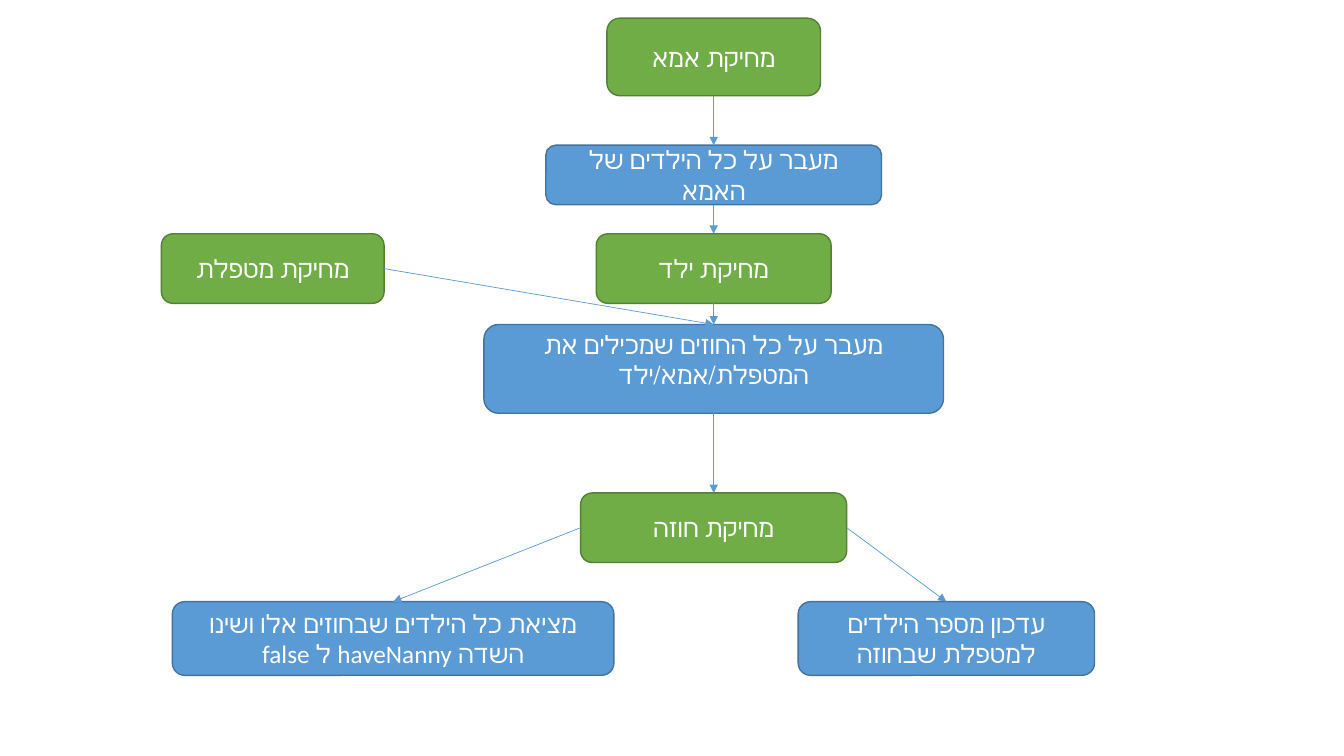
import pptx
import pptx.util
import pptx.dml.color
import pptx.enum.shapes
import pptx.enum.text
import pptx.oxml.ns
import lxml.etree

Pt = pptx.util.Pt
RGB = pptx.dml.color.RGBColor.from_string
KIND = pptx.enum.shapes.MSO_SHAPE.ROUNDED_RECTANGLE
LINE = pptx.enum.shapes.MSO_CONNECTOR.STRAIGHT
ANCHOR = pptx.enum.text.MSO_ANCHOR
hues = {"green": "70AD47", "moss": "538035", "blue": "5B9BD5",
        "navy": "43739E", "white": "FFFFFF"}
edges = {"green": "moss", "blue": "navy"}
TOP, LEFT, BASE, RIGHT = range(4)

deck = pptx.Presentation()
deck.slide_width, deck.slide_height = Pt(960), Pt(540)
slide = deck.slides.add_slide(deck.slide_layouts[6])

MID = 509.8
steps = [
    ("nanny", "green", 194.8, 167, 159.1, 49.7, "מחיקת מטפלת"),
    ("deals", "blue", MID, 231.8, 328.3, 63.4,
     "מעבר על כל החוזים שמכילים את המטפלת/אמא/ילד"),
    ("field", "blue", 280.8, 429.8, 315.4, 52.6,
     "מציאת כל הילדים שבחוזים אלו ושינו השדה haveNanny ל false"),
    ("deal", "green", MID, 352.1, 190.1, 49.7, "מחיקת חוזה"),
    ("count", "blue", 676, 429.8, 211.7, 52.6,
     "עדכון מספר הילדים למטפלת שבחוזה"),
    ("mother", "green", MID, 13, 152.6, 55.4, "מחיקת אמא"),
    ("child", "green", MID, 167, 167.8, 49.7, "מחיקת ילד"),
    ("kids", "blue", MID, 103.7, 239.8, 42.5, "מעבר על כל הילדים של האמא"),
]
font = {"size": Pt(18), "name": "Calibri"}
boxes = {}
for name, hue, mid, top, wide, high, text in steps:
    box = slide.shapes.add_shape(
        KIND, Pt(mid - wide / 2), Pt(top), Pt(wide), Pt(high))
    box.shadow.inherit = False
    box.fill.solid()
    box.fill.fore_color.rgb = RGB(hues[hue])
    box.line.color.rgb = RGB(hues[edges[hue]])
    box.line.width = Pt(1)
    frame = box.text_frame
    frame.word_wrap = True
    frame.vertical_anchor = ANCHOR.MIDDLE
    para = frame.paragraphs[0]
    para.alignment = pptx.enum.text.PP_ALIGN.CENTER
    para._p.get_or_add_pPr().set("rtl", "1")
    run = para.add_run()
    run.text = text
    for key, value in font.items():
        setattr(run.font, key, value)
    run.font.color.rgb = RGB(hues["white"])
    boxes[name] = box

frame = boxes["deals"].text_frame
frame.vertical_anchor = ANCHOR.TOP
frame.margin_top = 0

links = [
    ("deals", BASE, "deal", TOP),
    ("mother", BASE, "kids", TOP),
    ("kids", BASE, "child", TOP),
    ("child", BASE, "deals", TOP),
    ("deal", RIGHT, "count", TOP),
    ("deal", LEFT, "field", TOP),
    ("nanny", RIGHT, "deals", TOP),
]
qn = pptx.oxml.ns.qn
for start, out, end, into in links:
    link = slide.shapes.add_connector(LINE, 0, 0, 0, 0)
    link.begin_connect(boxes[start], out)
    link.end_connect(boxes[end], into)
    link.line.color.rgb = RGB(hues["blue"])
    link.line.width = Pt(0.5)
    tail = lxml.etree.SubElement(link.line._get_or_add_ln(), qn("a:tailEnd"))
    tail.set("type", "triangle")
    lxml.etree.SubElement(link._element.spPr, qn("a:effectLst"))

deck.save("out.pptx")
